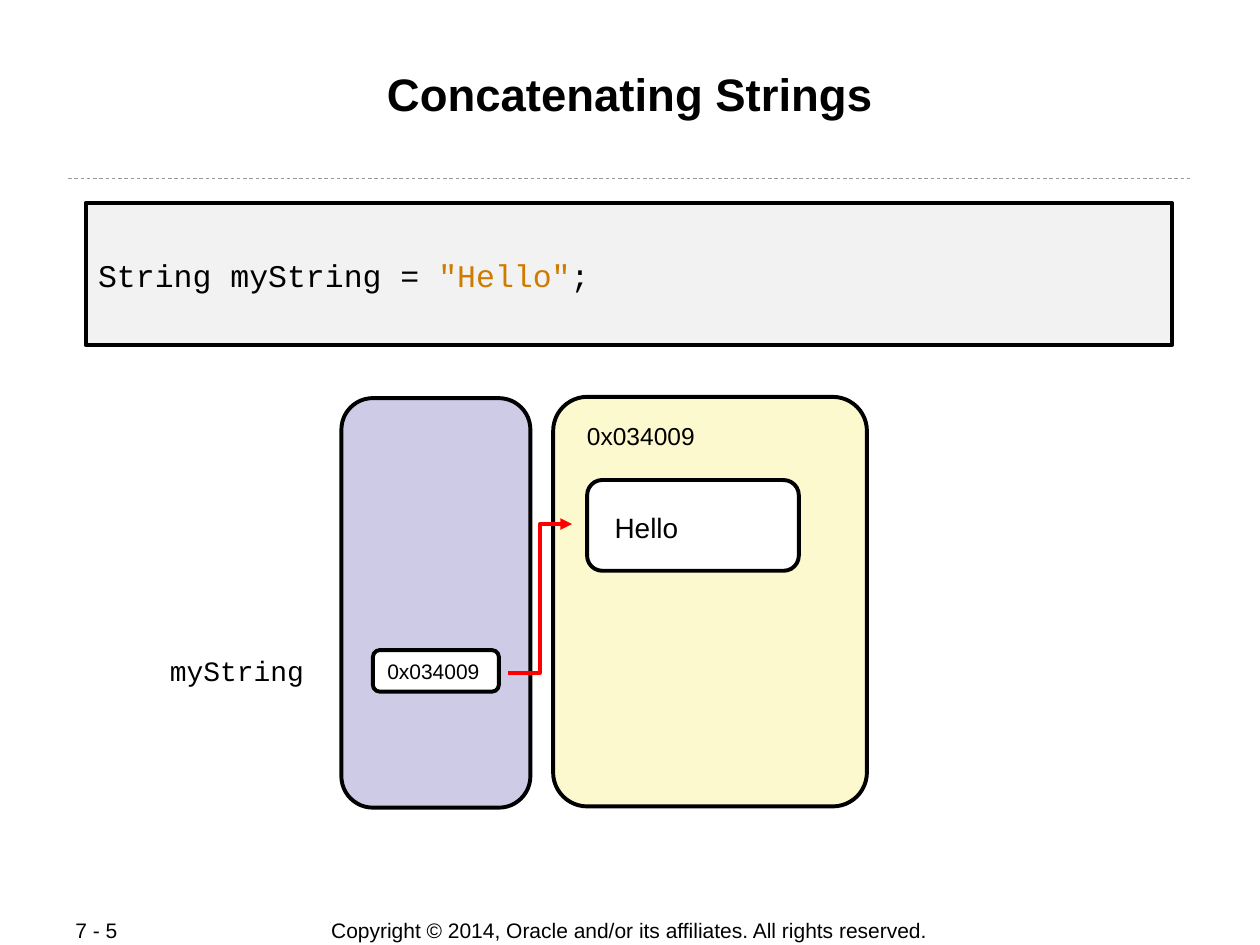
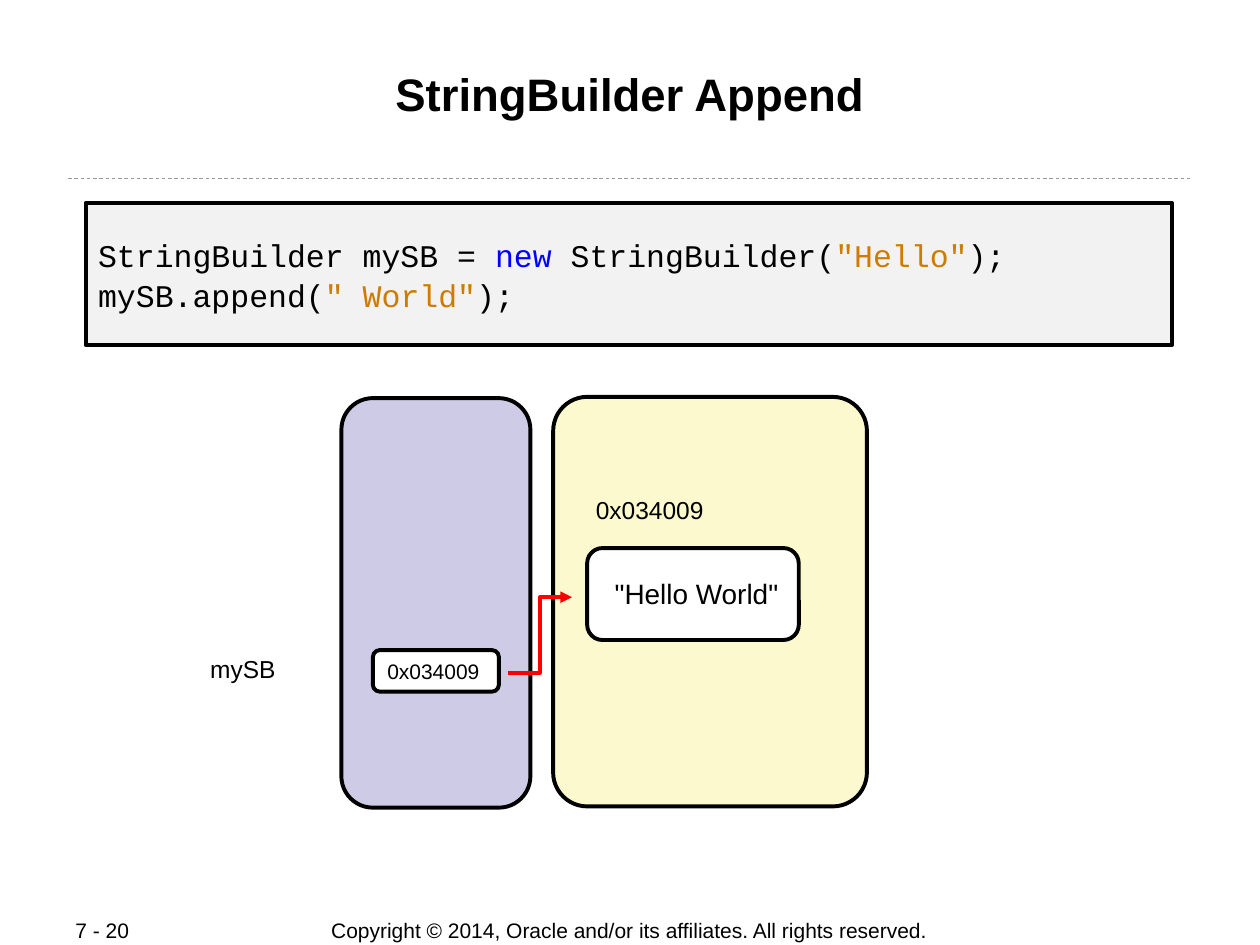
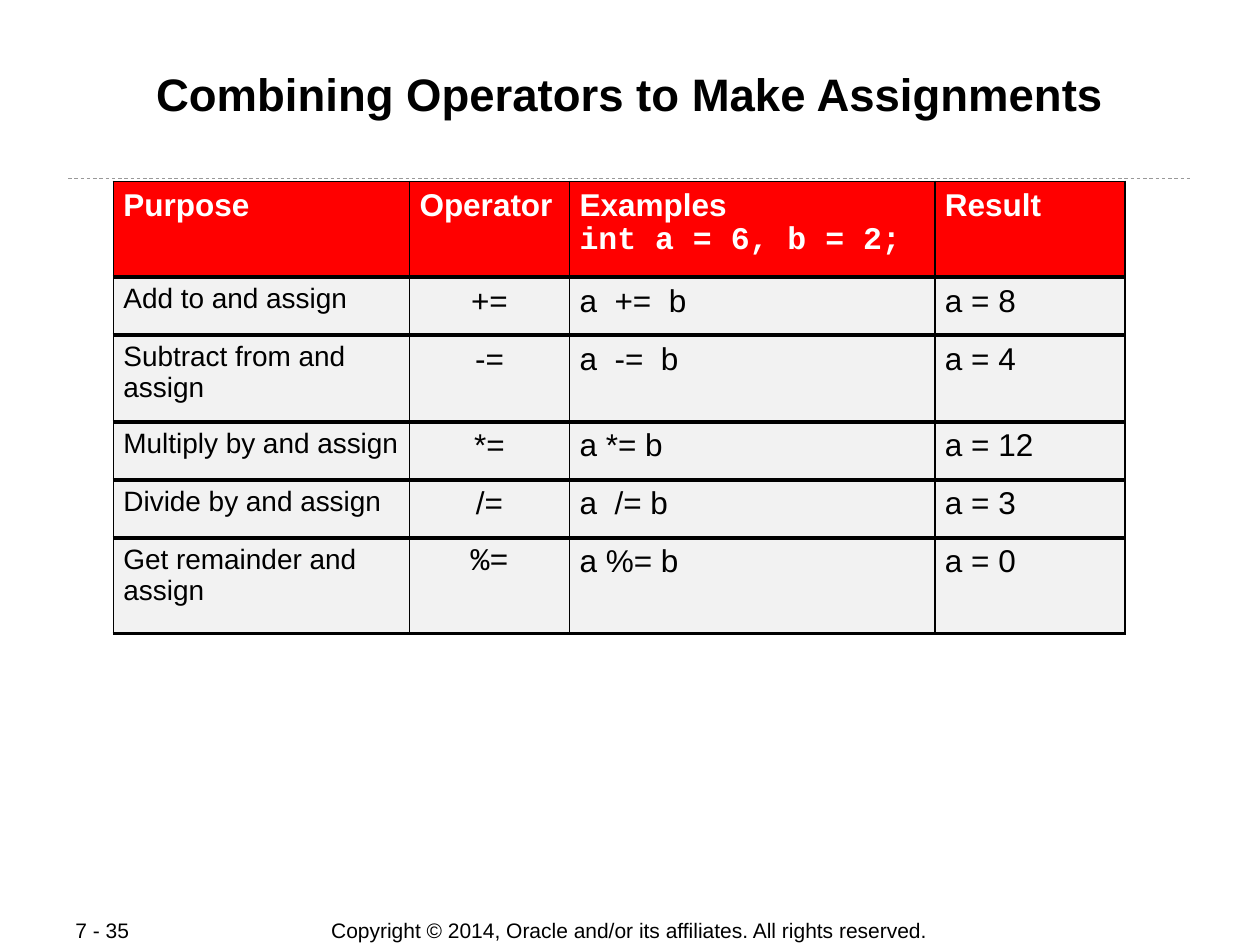
from dataclasses import dataclass
from typing import NamedTuple

from lxml import etree
from pptx import Presentation
from pptx.dml.color import RGBColor
from pptx.enum.dml import MSO_LINE
from pptx.enum.shapes import MSO_CONNECTOR, MSO_SHAPE
from pptx.enum.text import MSO_ANCHOR, MSO_AUTO_SIZE, PP_ALIGN
from pptx.oxml.ns import qn
from pptx.util import Emu, Pt

EMU_PER_PX = 9144  # 100 px to the inch
SANS, MONO = "Arial", "Courier New"
BLACK, WHITE, RED, GREY = "000000", "FFFFFF", "FF0000", "999999"
PALE_GREY, LILAC, CREAM = "F2F2F2", "CECBE6", "FCF9CE"
KEYWORD, LITERAL = "0000FF", "CE7B00"
OUTLINE = 2.25
TITLE_ONLY = 5
COPYRIGHT = "Copyright © 2014, Oracle and/or its affiliates. All rights reserved."

LEFT, CENTER = PP_ALIGN.LEFT, PP_ALIGN.CENTER
TOP, MIDDLE = MSO_ANCHOR.TOP, MSO_ANCHOR.MIDDLE
NO_AUTOFIT = MSO_AUTO_SIZE.NONE
RECTANGLE, ROUNDED = MSO_SHAPE.RECTANGLE, MSO_SHAPE.ROUNDED_RECTANGLE
STRAIGHT, ELBOW = MSO_CONNECTOR.STRAIGHT, MSO_CONNECTOR.ELBOW
DASH = MSO_LINE.DASH


class Box(NamedTuple):
    left: int
    top: int
    width: int
    height: int


class Run(NamedTuple):
    text: str
    color: str = BLACK
    font: str = SANS


def code(text, color=BLACK):
    return Run(text, color, MONO)


@dataclass(frozen=True)
class MemorySlide:
    """A code line with the variable and the heap object it refers to."""
    title: str
    number: str
    code_lines: list
    variable: Run
    variable_size: int
    variable_box: Box
    address_box: Box
    value: str
    value_box: Box
    value_text_box: Box
    arrow_end: int


MEMORY_SLIDES = [
    MemorySlide(
        "Concatenating Strings", "7 - 5",
        [[code("String myString = "), code('"Hello"', LITERAL), code(";")]],
        code("myString"), 16, Box(125, 514, 140, 37), Box(456, 329, 115, 34),
        "Hello", Box(466, 381, 168, 72), Box(478, 400, 76, 37), 416),
    MemorySlide(
        "StringBuilder Append", "7 - 20",
        [[code("StringBuilder mySB = "), code("new", KEYWORD),
          code(" StringBuilder("), code('"Hello"', LITERAL), code(");")],
         [code("mySB.append("), code('" World"', LITERAL), code(");")]],
        Run("mySB"), 14, Box(157, 514, 107, 34), Box(463, 388, 115, 34),
        '"Hello World"', Box(466, 435, 168, 73), Box(478, 453, 155, 37), 474),
]

OPERATOR_COLUMNS = [235, 127, 290, 151]
OPERATOR_ROWS = [76, 46, 69, 46, 46, 76]
OPERATOR_HEADER = [
    [[Run("Purpose", WHITE)]],
    [[Run("Operator", WHITE)]],
    [[Run("Examples", WHITE)], [code("int a = 6, b = 2;", WHITE)]],
    [[Run("Result", WHITE)]],
]
OPERATORS = [
    ("Add to and assign", Run("+="), "a  +=  b", "a = 8"),
    ("Subtract from and assign", Run("-="), "a  -=  b", "a = 4"),
    ("Multiply by and assign", Run("*="), "a *= b", "a = 12"),
    ("Divide by and assign", Run("/="), "a  /= b", "a = 3"),
    ("Get remainder and assign", code("%="), "a %= b", "a = 0"),
]


def px(length: int) -> Emu:
    return Emu(length * EMU_PER_PX)


def rgb(color: str) -> RGBColor:
    return RGBColor.from_string(color)


def place(box: Box) -> tuple:
    return tuple(px(length) for length in box)


# Text

def write_text(frame, text, *, size: float, bold: bool = False, align=LEFT,
               line_spacing: float = 1.0) -> None:
    """Fill a text frame from a string, a Run or a list of lines of Runs."""
    if isinstance(text, str):
        text = Run(text)
    lines = [[text]] if isinstance(text, Run) else text
    for index, line in enumerate(lines):
        paragraph = frame.add_paragraph() if index else frame.paragraphs[0]
        paragraph.alignment = align
        paragraph.line_spacing = line_spacing
        paragraph.space_before = Pt(0)
        for part in line:
            run = paragraph.add_run()
            run.text = part.text
            run.font.size, run.font.bold = Pt(size), bold
            run.font.name = part.font
            run.font.color.rgb = rgb(part.color)


def set_frame(frame, *, margins: tuple = (10, 5), anchor=TOP,
              wrap: bool = True) -> None:
    frame.auto_size = NO_AUTOFIT
    frame.word_wrap = wrap
    frame.vertical_anchor = anchor
    frame.margin_left = frame.margin_right = px(margins[0])
    frame.margin_top = frame.margin_bottom = px(margins[1])


def add_label(slide, box: Box, text, *, anchor=TOP, wrap: bool = True,
              **text_format) -> None:
    frame = slide.shapes.add_textbox(*place(box)).text_frame
    set_frame(frame, anchor=anchor, wrap=wrap)
    write_text(frame, text, **text_format)


# Shapes and lines

def add_panel(slide, box: Box, fill: str, *, preset=ROUNDED, corner: int = 0):
    shape = slide.shapes.add_shape(preset, *place(box))
    shape.shadow.inherit = False
    shape.fill.solid()
    shape.fill.fore_color.rgb = rgb(fill)
    shape.line.color.rgb = rgb(BLACK)
    shape.line.width = Pt(OUTLINE)
    if corner:
        shape.adjustments[0] = corner / min(box.width, box.height)
    return shape


def add_line(slide, start: tuple, end: tuple, color: str, width: float, *,
             kind=STRAIGHT, arrow: bool = False):
    connector = slide.shapes.add_connector(
        kind, *(px(length) for length in start + end))
    connector.line.color.rgb = rgb(color)
    connector.line.width = Pt(width)
    if arrow:
        etree.SubElement(connector.line._get_or_add_ln(), qn("a:tailEnd"),
                         type="triangle")
    etree.SubElement(connector._element.spPr, qn("a:effectLst"))
    return connector


# Parts shared by every slide

def add_slide(presentation, title: str, number: str):
    slide = presentation.slides.add_slide(
        presentation.slide_layouts[TITLE_ONLY])
    heading = slide.shapes.title
    heading.left, heading.top, heading.width, heading.height = place(
        Box(67, 48, 866, 96))
    set_frame(heading.text_frame, margins=(1, 4))
    write_text(heading.text_frame, title, size=26, bold=True, align=CENTER)
    rule = add_line(slide, (54, 142), (946, 142), GREY, 0.5)
    rule.line.dash_style = DASH
    add_label(slide, Box(275, 728, 449, 21), COPYRIGHT, size=12,
              align=CENTER, anchor=MIDDLE, wrap=False)
    add_label(slide, Box(50, 728, 106, 20), number, size=12, anchor=MIDDLE)
    return slide


# Memory diagrams

def add_memory_slide(presentation, memory: MemorySlide) -> None:
    slide = add_slide(presentation, memory.title, memory.number)

    listing = add_panel(slide, Box(68, 161, 862, 113), PALE_GREY,
                        preset=RECTANGLE).text_frame
    set_frame(listing, margins=(10, 1), anchor=MIDDLE)
    write_text(listing, memory.code_lines, size=18, line_spacing=1.06)

    # Stack and heap
    add_panel(slide, Box(439, 315, 249, 325), CREAM, corner=27)
    add_panel(slide, Box(271, 316, 150, 325), LILAC, corner=25)

    # Variable holding the address
    address = "0x034009"
    pointer = add_panel(slide, Box(296, 516, 100, 33), WHITE).text_frame
    set_frame(pointer)
    write_text(pointer, address, size=12)
    add_label(slide, memory.variable_box, memory.variable,
              size=memory.variable_size)

    # Object at the address
    add_panel(slide, memory.value_box, WHITE)
    add_label(slide, memory.value_text_box, memory.value, size=16)
    add_label(slide, memory.address_box, address, size=14)
    add_line(slide, (403, 534), (454, memory.arrow_end), RED, OUTLINE,
             kind=ELBOW, arrow=True)


# Operator table

def set_borders(cell, top_width: float) -> None:
    properties = cell._tc.get_or_add_tcPr()
    widths = {"a:lnL": 1.08, "a:lnR": 1.08, "a:lnT": top_width, "a:lnB": 2.21}
    for index, (side, width) in enumerate(widths.items()):
        border = etree.Element(qn(side), w=str(Pt(width)))
        fill = etree.SubElement(border, qn("a:solidFill"))
        etree.SubElement(fill, qn("a:srgbClr"), val=BLACK)
        properties.insert(index, border)


def fill_cell(cell, text, fill: str, *, top_width: float = 2.21,
              **text_format) -> None:
    cell.fill.solid()
    cell.fill.fore_color.rgb = rgb(fill)
    cell.margin_left = cell.margin_right = px(8)
    cell.margin_top = cell.margin_bottom = px(5)
    cell.vertical_anchor = TOP
    set_borders(cell, top_width)
    write_text(cell.text_frame, text, **text_format)


def add_operator_slide(presentation) -> None:
    slide = add_slide(presentation, "Combining Operators to Make Assignments",
                      "7 - 35")
    box = Box(90, 144, sum(OPERATOR_COLUMNS), sum(OPERATOR_ROWS))
    table = slide.shapes.add_table(
        len(OPERATOR_ROWS), len(OPERATOR_COLUMNS), *place(box)).table
    table.first_row = table.horz_banding = False
    for column, width in zip(table.columns, OPERATOR_COLUMNS):
        column.width = px(width)
    for row, height in zip(table.rows, OPERATOR_ROWS):
        row.height = px(height)

    for column, heading in enumerate(OPERATOR_HEADER):
        fill_cell(table.cell(0, column), heading, RED, top_width=1.08,
                  size=18, bold=True)
    for row, operator in enumerate(OPERATORS, start=1):
        for column, text in enumerate(operator):
            fill_cell(table.cell(row, column), text, PALE_GREY,
                      size=16 if column == 0 else 18,
                      align=CENTER if column == 1 else LEFT)


def main() -> None:
    presentation = Presentation()
    presentation.slide_width, presentation.slide_height = px(1000), px(750)
    for memory in MEMORY_SLIDES:
        add_memory_slide(presentation, memory)
    add_operator_slide(presentation)
    presentation.save("out.pptx")


if __name__ == "__main__":
    main()
